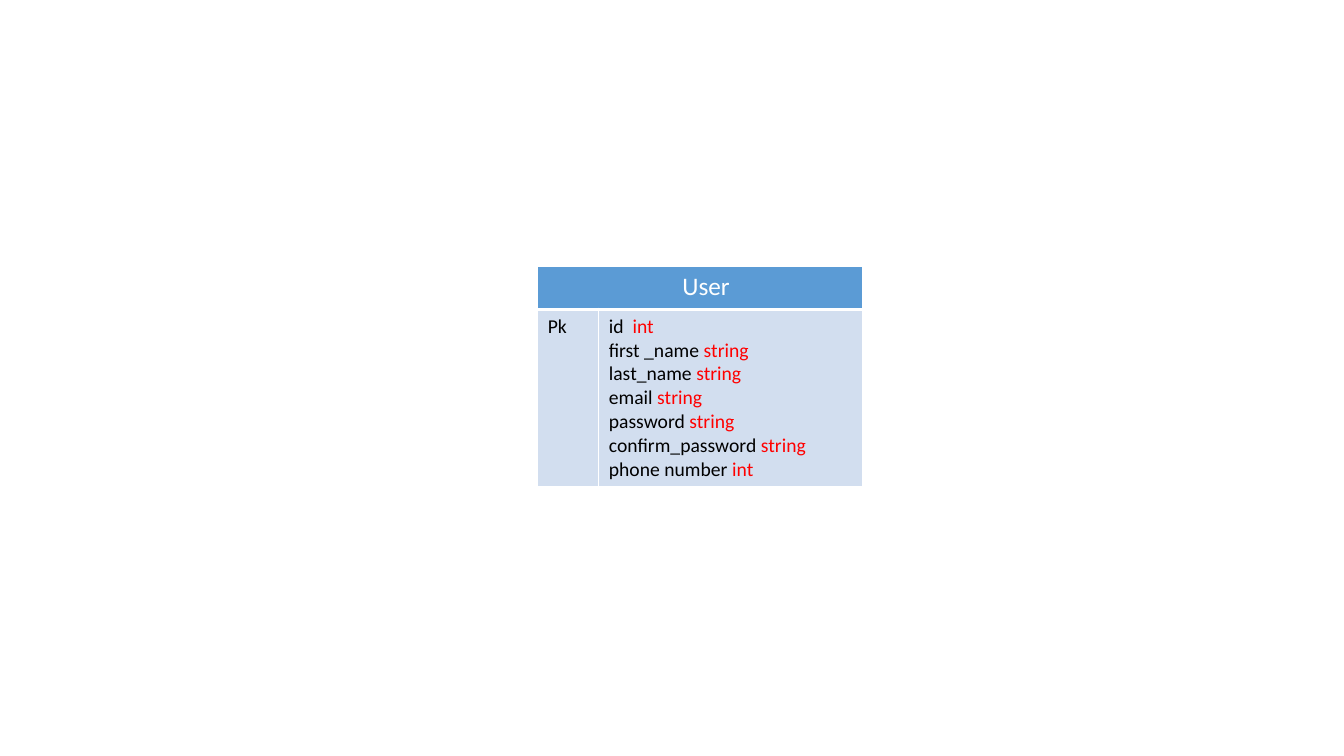
import pptx
import pptx.dml.color
import pptx.enum.text
import pptx.oxml
import pptx.oxml.ns
import pptx.util

Cm, Pt = pptx.util.Cm, pptx.util.Pt
ALIGN = pptx.enum.text.PP_ALIGN

WHITE, BLACK, RED = "FFFFFF", "000000", "FF0000"
HEADER_BLUE, BODY_BLUE = "5B9BD5", "D2DEEF"

USER_FIELDS = [
    ("id  ", "int"),
    ("first _name ", "string"),
    ("last_name ", "string"),
    ("email ", "string"),
    ("password ", "string"),
    ("confirm_password ", "string"),
    ("phone number ", "int"),
]


def rgb(hex_text):
    """Turn a hex string into a colour."""
    return pptx.dml.color.RGBColor.from_string(hex_text)


def write(paragraph, text, size=14, color=BLACK, align=ALIGN.LEFT):
    """Add one formatted run to a paragraph."""
    paragraph.alignment = align
    run = paragraph.add_run()
    run.text = text
    run.font.name = "Calibri"
    run.font.size = Pt(size)
    run.font.bold = False
    run.font.color.rgb = rgb(color)


def style_cell(cell, fill, **border_points):
    """Fill a cell and give it white borders, 1 pt unless stated."""
    cell.fill.solid()
    cell.fill.fore_color.rgb = rgb(fill)
    properties = cell._tc.get_or_add_tcPr()
    for index, side in enumerate("LRTB"):
        width = Pt(border_points.get(side, 1))
        properties.insert(index, pptx.oxml.parse_xml(
            f'<a:ln{side} {pptx.oxml.ns.nsdecls("a")} w="{width}"><a:solidFill>'
            f'<a:srgbClr val="{WHITE}"/></a:solidFill></a:ln{side}>'))


def add_entity(slide, title, key, fields, left, top, width, height):
    """Draw an entity table: a title row above its key and typed fields."""
    header_height, key_width = Cm(1.09), Cm(1.54)
    entity = slide.shapes.add_table(2, 2, left, top, width, height).table
    entity.columns[0].width = key_width
    entity.columns[1].width = width - key_width
    entity.rows[0].height = header_height
    entity.rows[1].height = height - header_height

    for cell in entity.rows[0].cells:
        style_cell(cell, HEADER_BLUE, B=3)
    for cell in entity.rows[1].cells:
        style_cell(cell, BODY_BLUE, T=3)

    header = entity.cell(0, 0)
    header.merge(entity.cell(0, 1))
    header.margin_left = Cm(0.54)
    write(header.text_frame.paragraphs[0], title, size=18, color=WHITE,
          align=ALIGN.CENTER)
    write(entity.cell(1, 0).text_frame.paragraphs[0], key)

    field_list = entity.cell(1, 1).text_frame
    for index, (name, data_type) in enumerate(fields):
        line = field_list.add_paragraph() if index else field_list.paragraphs[0]
        write(line, name)
        write(line, data_type, color=RED)


def main():
    """Build the slide and save it."""
    deck = pptx.Presentation()
    deck.slide_width, deck.slide_height = Cm(33.87), Cm(19.05)
    slide = deck.slides.add_slide(deck.slide_layouts[6])
    add_entity(slide, "User", "Pk", USER_FIELDS,
               Cm(13.55), Cm(6.71), Cm(8.2), Cm(5.51))
    deck.save("out.pptx")


main()
